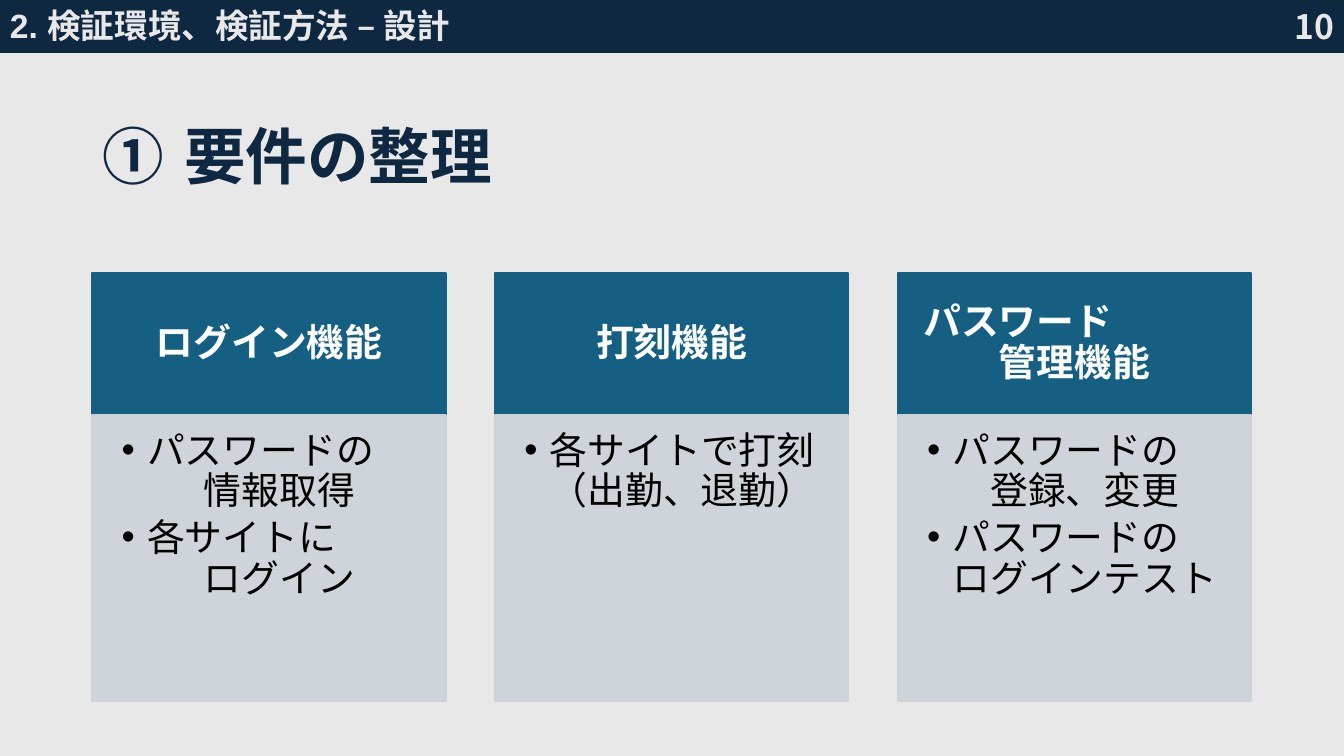
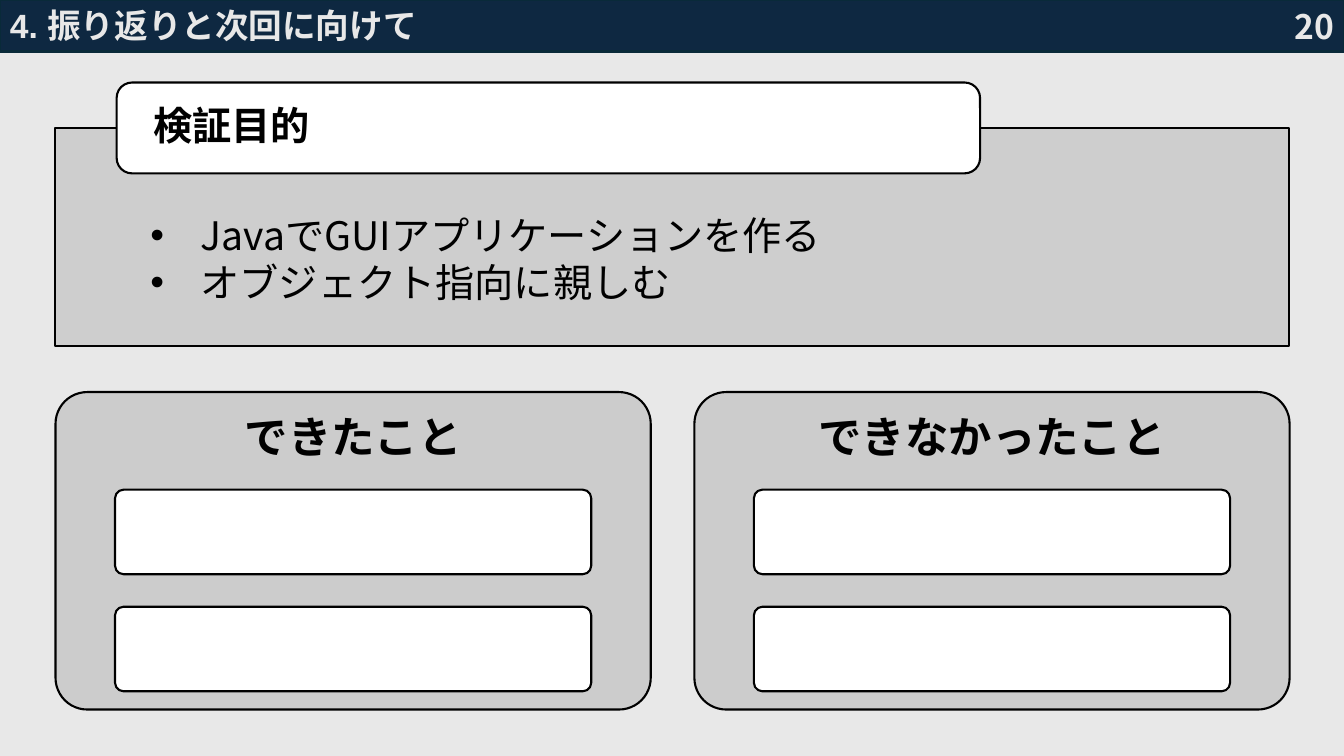
from lxml.etree import SubElement
from pptx import Presentation
from pptx.dml.color import RGBColor
from pptx.enum.shapes import MSO_SHAPE
from pptx.enum.text import MSO_ANCHOR, PP_ALIGN
from pptx.oxml.ns import qn
from pptx.util import Cm, Pt

NAVY, NAVY_EDGE, TEAL = "0E2841", "092A39", "156082"
PAPER, MIST, GREY = "E8E8E8", "CCD2D8", "CCCCCC"
WHITE, BLACK = "FFFFFF", "000000"
SANS, LATIN = "Noto Sans CJK JP", "Arial"
WIDTH, HEIGHT, BAND = 33.87, 19.05, 1.3


def color(hex_text):
    return RGBColor.from_string(hex_text)


class Deck:
    """The presentation, its style and the slide being filled."""

    def __init__(self):
        self.prs = Presentation()
        self.prs.slide_width, self.prs.slide_height = Cm(WIDTH), Cm(HEIGHT)
        fill = self.prs.slide_master.background.fill
        fill.solid()
        fill.fore_color.rgb = color(PAPER)
        self.s = None

    def slide(self, section, number):
        """Start a slide with the section band and its page number."""
        self.s = self.prs.slides.add_slide(self.prs.slide_layouts[6])
        self.box(0, 0, WIDTH, BAND, NAVY, NAVY_EDGE)
        self.text(0, -0.03, 12, BAND, [section], size=24, hue=PAPER, bold=True,
                  font=LATIN, anchor=MSO_ANCHOR.BOTTOM)
        self.text(WIDTH - 7.62, 0, 7.62, BAND, [number], size=24, hue=PAPER,
                  bold=True, align=PP_ALIGN.RIGHT)

    def box(self, x, y, w, h, fill, line, radius=None, opacity=None):
        """Add a rectangle, rounded when a radius ratio is given."""
        kind = MSO_SHAPE.RECTANGLE if radius is None else MSO_SHAPE.ROUNDED_RECTANGLE
        sp = self.s.shapes.add_shape(kind, Cm(x), Cm(y), Cm(w), Cm(h))
        sp.shadow.inherit = False
        if radius is not None:
            sp.adjustments[0] = radius
        sp.fill.solid()
        sp.fill.fore_color.rgb = color(fill)
        sp.line.color.rgb = color(line)
        sp.line.width = Pt(1.5)
        if opacity is not None:
            solid = sp.element.spPr.find(qn("a:solidFill"))
            SubElement(solid.find(qn("a:srgbClr")), qn("a:alpha"),
                       val=str(opacity * 1000))
        return sp

    def text(self, x, y, w, h, lines, **style):
        sp = self.s.shapes.add_textbox(Cm(x), Cm(y), Cm(w), Cm(h))
        self.set_text(sp, lines, **style)

    def set_text(self, sp, lines, size, hue=BLACK, bold=False, font=SANS,
                 align=PP_ALIGN.LEFT, anchor=MSO_ANCHOR.MIDDLE,
                 insets=(0.25, 0.13, 0.25, 0.13), spacing=1.0, after=0,
                 bullet=None, hang=0):
        """Set one paragraph per line; insets run left, top, right, bottom."""
        tf = sp.text_frame
        tf.word_wrap = True
        tf.vertical_anchor = anchor
        (tf.margin_left, tf.margin_top,
         tf.margin_right, tf.margin_bottom) = map(Cm, insets)
        tf.text = "\n".join(lines)
        for p in tf.paragraphs:
            p.alignment = align
            p.line_spacing = spacing
            p.space_after = Pt(after)
            if bullet:
                self.bullet(p, bullet, hang)
            for r in p.runs:
                r.font.size = Pt(size)
                r.font.bold = bold
                r.font.color.rgb = color(hue)
                r.font.name = font
                SubElement(r._r.get_or_add_rPr(), qn("a:ea"), typeface=SANS)

    def bullet(self, p, mark, hang):
        """Hang a paragraph on a character or an automatic number scheme."""
        pPr = p._p.get_or_add_pPr()
        pPr.set("marL", str(Cm(hang)))
        pPr.set("indent", str(-Cm(hang)))
        if len(mark) == 1:
            SubElement(pPr, qn("a:buFont"), typeface=LATIN)
            SubElement(pPr, qn("a:buChar"), char=mark)
        else:
            SubElement(pPr, qn("a:buAutoNum"), type=mark)

    def card(self, x, heading, items):
        """Add a column with a coloured heading over a bulleted body."""
        top, w, head_h, body_h = 6.88, 8.9, 3.58, 7.2
        head = self.box(x, top, w, head_h, TEAL, TEAL)
        self.set_text(head, [heading], size=27, hue=WHITE, bold=True, spacing=0.9,
                      align=PP_ALIGN.CENTER, insets=(0.53, 0.3, 0.53, 0.3))
        body = self.box(x, top + head_h, w, body_h, MIST, MIST, opacity=90)
        self.set_text(body, items, size=27, spacing=0.9, after=4, bullet="•",
                      hang=0.64, align=PP_ALIGN.CENTER, anchor=MSO_ANCHOR.TOP,
                      insets=(0.41, 0.41, 0.53, 0.61))

    def panel(self, x, heading):
        """Add a rounded panel with a heading and two empty bars."""
        top, w = 9.88, 15
        self.box(x, top, w, 8, GREY, BLACK, radius=0.1)
        self.text(x, top, w, 2.4, [heading], size=31, bold=True, spacing=0.9,
                  align=PP_ALIGN.CENTER, insets=(0.33,) * 4)
        for i in range(2):
            self.box(x + 1.5, top + 2.46 + i * 2.95, w - 3, 2.13,
                     WHITE, BLACK, radius=0.1)


def requirements(deck):
    deck.slide("2. 検証環境、検証方法 – 設計", "10")
    deck.text(2.33, 2.18, 29.2, 3.68, ["要件の整理"], size=44, hue=NAVY, bold=True,
              font=LATIN, spacing=0.9, bullet="circleNumDbPlain", hang=2.06)
    cards = [
        ("ログイン機能", ["パスワードの　情報取得", "各サイトに　　ログイン"]),
        ("打刻機能", ["各サイトで打刻（出勤、退勤）"]),
        ("パスワード　　　管理機能",
         ["パスワードの　登録、変更", "パスワードの　ログインテスト"]),
    ]
    for i, (heading, items) in enumerate(cards):
        deck.card(2.33 + i * 10.15, heading, items)


def review(deck):
    deck.slide("4. 振り返りと次回に向けて", "20")
    for i, heading in enumerate(["できたこと", "できなかったこと"]):
        deck.panel(1.4 + i * 16.1, heading)
    purpose = deck.box(1.38, 3.23, 31.1, 5.5, GREY, BLACK, opacity=90)
    deck.set_text(purpose, ["JavaでGUIアプリケーションを作る", "オブジェクト指向に親しむ"],
                  size=28, bullet="•", hang=1.27, insets=(2.41, 1.63, 2.41, 0.56))
    tab = deck.box(2.94, 2.08, 21.76, 2.29, WHITE, BLACK, radius=0.17)
    deck.set_text(tab, ["検証目的"], size=28, bold=True, spacing=0.9,
                  insets=(0.81, 0, 0.81, 0))


def main():
    deck = Deck()
    requirements(deck)
    review(deck)
    deck.prs.save("out.pptx")


if __name__ == "__main__":
    main()
